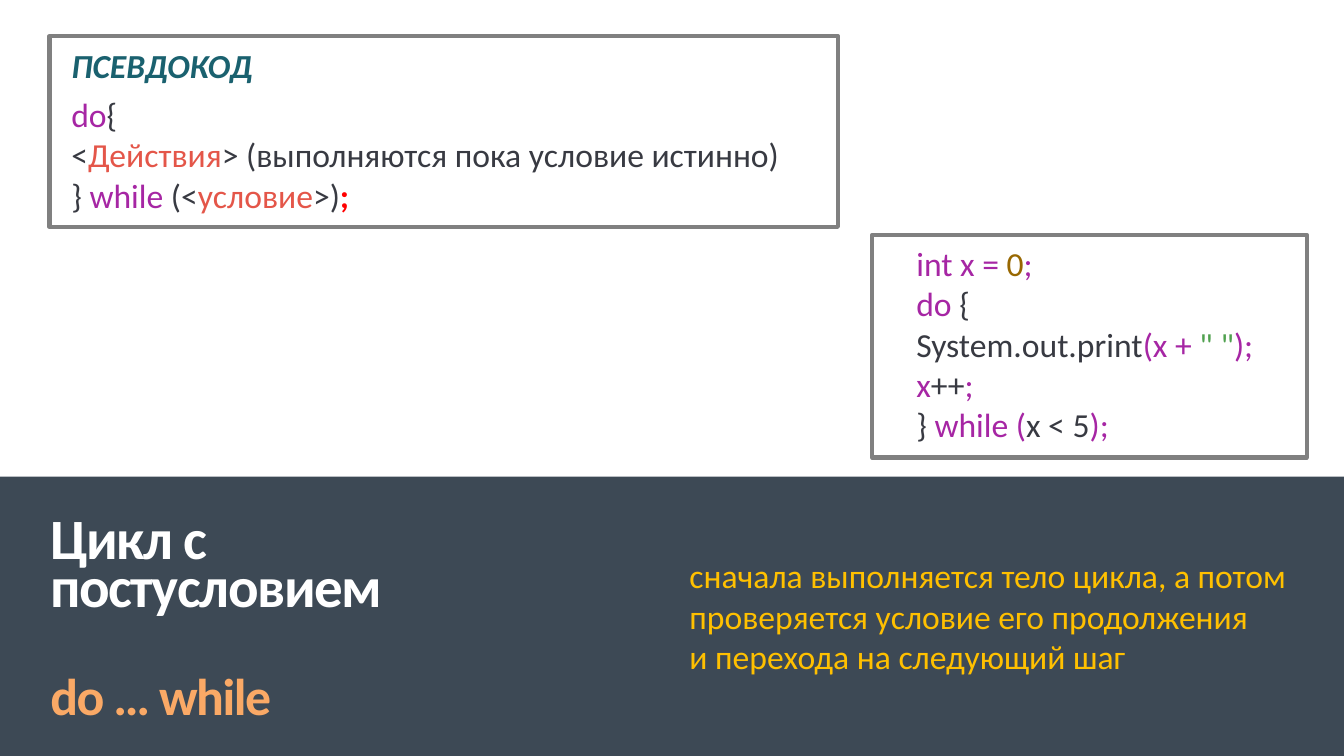
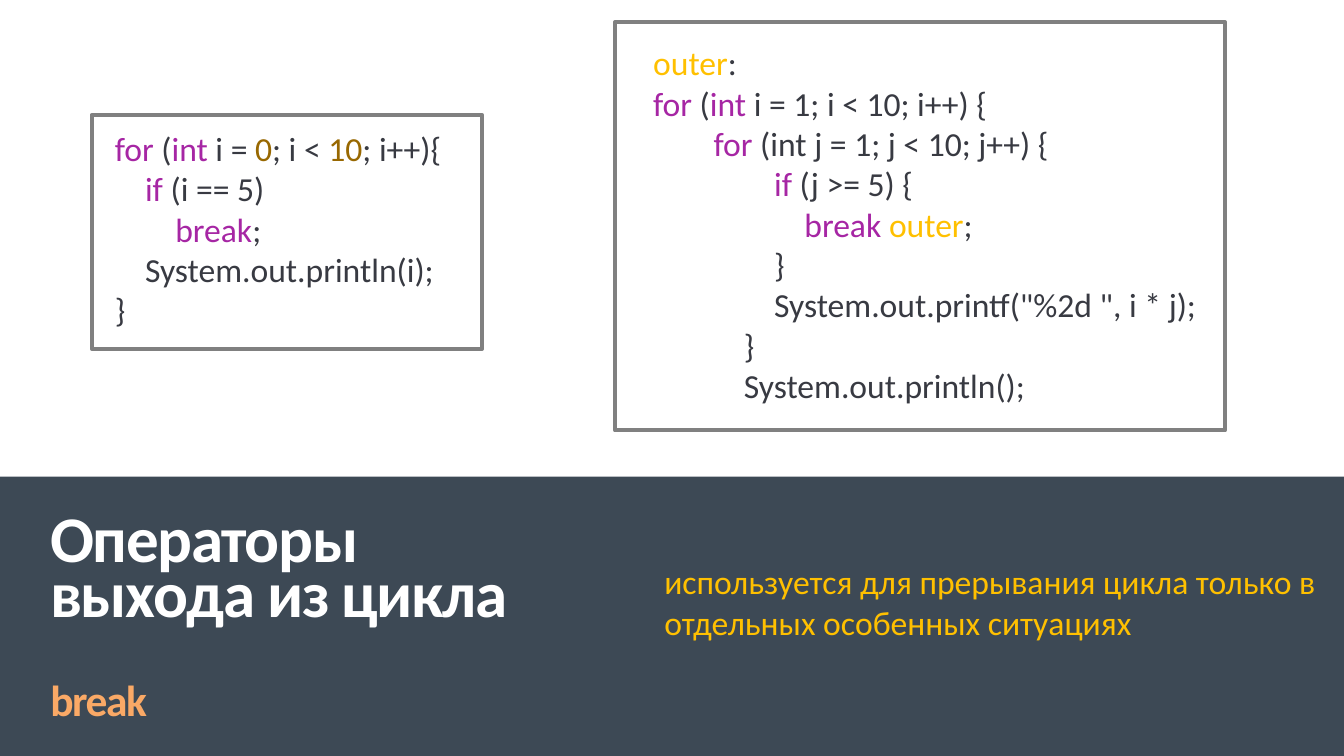
from dataclasses import dataclass

from lxml.etree import SubElement
from pptx import Presentation
from pptx.dml.color import RGBColor as Color
from pptx.enum.shapes import MSO_SHAPE as ShapeKind
from pptx.enum.text import MSO_ANCHOR as Anchor
from pptx.oxml.ns import qn
from pptx.util import Inches, Pt


@dataclass(frozen=True)
class Theme:
    font: str = "Calibri"
    band: str = "3D4955"
    frame: str = "808080"
    ink: str = "383A42"
    keyword: str = "A626A4"
    number: str = "986801"
    string: str = "50A14F"
    slot: str = "E45649"
    label: str = "FFC000"
    heading: str = "1A616F"
    alert: str = "FF0000"
    title: str = "FFFFFF"
    accent: str = "FAA966"
    body_size: float = 24
    frame_width: float = 3
    title_spacing: float = 0.7
    indent: float = 0.3


THEME = Theme()
NBSP = chr(160)


def line(*runs, level=0, after=0):
    """One text line: runs are (text, colour[, format]) or plain ink text."""
    parts = [(run, THEME.ink) if isinstance(run, str) else run for run in runs]
    return {"runs": parts, "level": level, "after": after}


def keyword(text):
    return text, THEME.keyword


def number(text):
    return text, THEME.number


def slot(text):
    return text, THEME.slot


def label(text):
    return text, THEME.label


class Deck:
    """Holds the style and the slide being built."""

    def __init__(self, theme):
        self.theme = theme
        self.presentation = Presentation()
        self.presentation.slide_width = Inches(13.33)
        self.presentation.slide_height = Inches(7.5)
        self.slide = None

    def new_slide(self):
        self.slide = self.presentation.slides.add_slide(
            self.presentation.slide_layouts[6])
        band = self.rectangle(0, 4.73, 13.33, 2.77)
        band.fill.solid()
        band.fill.fore_color.rgb = Color.from_string(self.theme.band)
        band.line.fill.background()

    def rectangle(self, *box):
        shape = self.slide.shapes.add_shape(
            ShapeKind.RECTANGLE, *map(Inches, box))
        shape.shadow.inherit = False
        return shape

    def frame(self, *box):
        shape = self.rectangle(*box)
        shape.fill.background()
        shape.line.color.rgb = Color.from_string(self.theme.frame)
        shape.line.width = Pt(self.theme.frame_width)
        SubElement(shape.element.spPr.find(qn("a:ln")), qn("a:round"))

    def text_box(self, box, anchor=Anchor.TOP):
        text_frame = self.slide.shapes.add_textbox(
            *map(Inches, box)).text_frame
        text_frame.word_wrap = True
        text_frame.vertical_anchor = anchor
        return text_frame

    def paragraph(self, text_frame, index):
        if index == 0:
            return text_frame.paragraphs[0]
        return text_frame.add_paragraph()

    def run(self, paragraph, text, color, **formats):
        run = paragraph.add_run()
        run.text = text
        style = {"name": self.theme.font, "size": Pt(self.theme.body_size)}
        for name, value in {**style, **formats}.items():
            setattr(run.font, name, value)
        run.font.color.rgb = Color.from_string(color)
        return run

    def lines(self, box, rows):
        text_frame = self.text_box(box)
        for index, row in enumerate(rows):
            paragraph = self.paragraph(text_frame, index)
            paragraph.space_after = Pt(row["after"])
            if row["level"]:
                margin = Inches(self.theme.indent * row["level"])
                paragraph._p.get_or_add_pPr().set("marL", str(margin))
            for text, color, *formats in row["runs"]:
                self.run(paragraph, text, color, **(formats[0] if formats else {}))

    def title(self, heading, heading_size, operator, operator_size, gap):
        text_frame = self.text_box((0.4, 5, 4.91, 2.23), Anchor.BOTTOM)
        parts = ((heading, heading_size, self.theme.title, 12),
                 (operator, operator_size, self.theme.accent, gap))
        for index, (text, size, color, before) in enumerate(parts):
            paragraph = self.paragraph(text_frame, index)
            paragraph.line_spacing = self.theme.title_spacing
            paragraph.space_before = Pt(before)
            run = self.run(paragraph, text, color, size=Pt(size), bold=True)
            run._r.get_or_add_rPr().set("spc", "-100")

    def remark(self, box, text):
        self.lines(box, [line(label(text))])


def build_do_while(deck):
    deck.new_slide()

    # Pseudocode
    deck.lines((0.61, 0.4, 8.04, 1.8), [
        line(("ПСЕВДОКОД", THEME.heading, {"bold": True, "italic": True}), after=6),
        line(keyword("do"), "{"),
        line("<", slot("Действия"), "> (выполняются пока условие истинно)"),
        line("} ", keyword("while"), " (<", slot("условие"), ">)",
             (";", THEME.alert, {"bold": True})),
    ])
    deck.frame(0.49, 0.36, 7.82, 1.89)

    # Title and remark
    deck.title("Цикл с постусловием", 40.7, "do … while", 37, gap=45)
    deck.remark((6.74, 5.46, 6.5, 1.31),
                f"сначала выполняется тело цикла, а{NBSP}потом проверяется условие "
                f"его продолжения и{NBSP}перехода на{NBSP}следующий шаг")

    # Code example
    deck.frame(8.65, 2.33, 4.31, 2.21)
    deck.lines((8.99, 2.36, 3.63, 2.12), [
        line(keyword("int x = "), number("0"), keyword(";")),
        line(keyword("do "), "{"),
        line("System.out.print", keyword("(x + "), ('" "', THEME.string),
             keyword(");")),
        line(keyword("x"), "++", keyword(";")),
        line("} ", keyword("while ("), "x < 5", keyword(");")),
    ])


def build_break(deck):
    deck.new_slide()

    # Title and remark
    deck.title("Операторы выхода из цикла", 46.5, "break", 31, gap=42)
    deck.remark((6.49, 5.52, 6.75, 0.91),
                "используется для прерывания цикла только в отдельных "
                "особенных ситуациях")

    # Plain break
    deck.frame(0.91, 1.14, 3.87, 2.32)
    deck.lines((1.04, 1.22, 3.65, 2.12), [
        line(keyword("for"), " (", keyword("int "), "i = ", number("0"),
             "; i < ", number("10"), "; i++){"),
        line(keyword("if"), " (i == 5)", level=1),
        line(keyword("break"), ";", level=2),
        line("System.out.println(i);", level=1),
        line("}"),
    ])

    # Break to a label
    deck.lines((6.38, 0.37, 6.67, 4.14), [
        line(label("outer"), ":"),
        line(keyword("for"), " (", keyword("int"), " i = 1; i < 10; i++) {"),
        line(keyword("for"), " (int j = 1; j < 10; j++) {", level=2),
        line(keyword("if"), " (j >= 5) {", level=4),
        line(keyword("break "), label("outer"), ";", level=5),
        line("}", level=4),
        line('System.out.printf("%2d ", i * j);', level=4),
        line("}", level=3),
        line("System.out.println();", level=3),
    ])
    deck.frame(6.1, 0.22, 6.05, 4.05)


def main():
    deck = Deck(THEME)
    build_do_while(deck)
    build_break(deck)
    deck.presentation.save("out.pptx")


if __name__ == "__main__":
    main()
